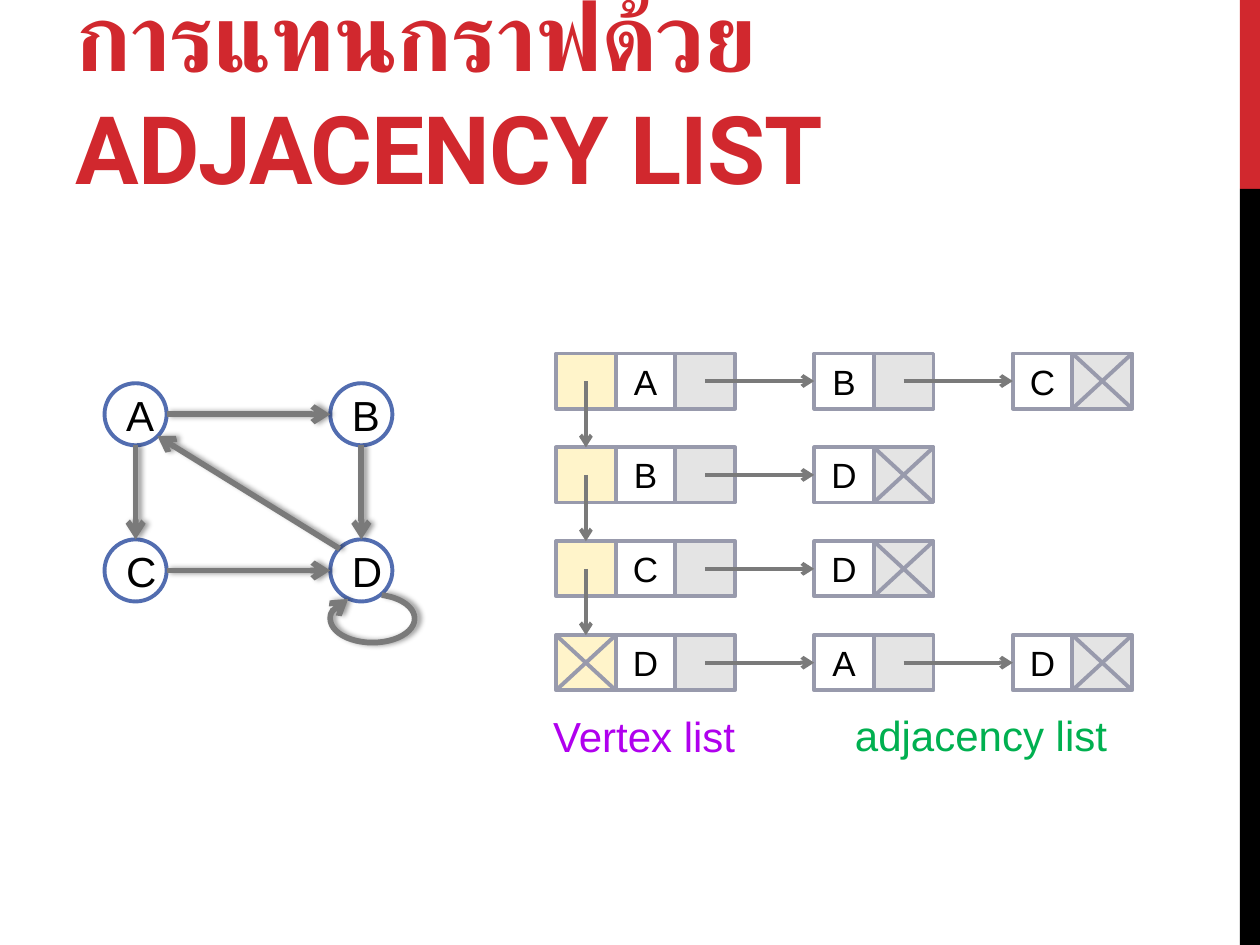
from lxml import etree
from pptx import Presentation
from pptx.dml.color import RGBColor
from pptx.enum import shapes, text
from pptx.oxml import ns
from pptx.util import Pt

INK, ARROW, CELL_LINE = "000000", "7A7A7A", "989AAC"


def paint(target, color):
    """Colour a fill, or the font of a run."""
    fill = getattr(target, "fill", target)
    fill.solid()
    fill.fore_color.rgb = RGBColor.from_string(color)


def stroke(shape, color, width, arrow=None, shadow=False):
    """Format an outline; arrow is 'headEnd', 'tailEnd' or None."""
    paint(shape.line, color)
    shape.line.width = Pt(width)
    if arrow:
        etree.SubElement(shape.line._ln, ns.qn("a:" + arrow), type="arrow")
    properties = shape._element.spPr
    for old in properties.findall(ns.qn("a:effectLst")):
        properties.remove(old)
    effects = etree.SubElement(properties, ns.qn("a:effectLst"))
    if shadow:
        cast = etree.SubElement(effects, ns.qn("a:outerShdw"), blurRad=str(Pt(3.1)),
                                dist=str(Pt(1.8)), dir="0", rotWithShape="0")
        shade = etree.SubElement(cast, ns.qn("a:srgbClr"), val=INK)
        etree.SubElement(shade, ns.qn("a:alpha"), val="40000")


deck = Presentation()
deck.slide_width, deck.slide_height = Pt(720), Pt(540)
slide = deck.slides.add_slide(deck.slide_layouts[5])
add_shape = slide.shapes.add_shape
add_connector = slide.shapes.add_connector
STRAIGHT = shapes.MSO_CONNECTOR.STRAIGHT

# Side bar
for top, height, color in ((0, 108, "D1282E"), (108, 432, INK)):
    bar = add_shape(shapes.MSO_SHAPE.RECTANGLE, Pt(708.5), Pt(top), Pt(11.5), Pt(height))
    bar.shadow.inherit = False
    paint(bar, color)
    bar.line.fill.background()

# Title
title = slide.shapes.title
title.left, title.top, title.width, title.height = Pt(36), Pt(12), Pt(630), Pt(108)
frame = title.text_frame
frame.auto_size = text.MSO_AUTO_SIZE.NONE
frame.word_wrap = True
frame.vertical_anchor = text.MSO_ANCHOR.BOTTOM
frame.paragraphs[0].alignment = text.PP_ALIGN.LEFT
run = frame.paragraphs[0].add_run()
run.text = "การแทนกราฟด้วย ADJACENCY LIST"
run.font.name, run.font.size, run.font.bold = "Roboto", Pt(54), True
paint(run.font, "D1282E")
run._r.get_or_add_rPr().set("spc", "-60")

# Graph vertices
DIAMETER = 35.5
left_x, right_x, upper_y, lower_y = 59.75, 188.75, 219, 308.25
vertices = {"A": (left_x, upper_y), "B": (right_x, upper_y),
            "C": (left_x, lower_y), "D": (right_x, lower_y)}
lettered = []
for name, (x, y) in vertices.items():
    vertex = add_shape(shapes.MSO_SHAPE.OVAL, Pt(x), Pt(y), Pt(DIAMETER), Pt(DIAMETER))
    paint(vertex, "FFFFFF")
    stroke(vertex, "526DB0", 2.25)
    lettered.append((vertex, name, 24))

# Graph edges: each runs from rim to rim, as fractions of the circle's box
EAST, WEST, SOUTH, NORTH = (1, 0.5), (0, 0.5), (0.5, 1), (0.5, 0)
NORTHWEST, SOUTHEAST = (0.15, 0.15), (0.85, 0.85)
edges = (("A", EAST, "B", WEST), ("A", SOUTH, "C", NORTH), ("C", EAST, "D", WEST),
         ("B", SOUTH, "D", NORTH), ("D", NORTHWEST, "A", SOUTHEAST))
for source, leave, target, arrive in edges:
    ends = [Pt(corner + DIAMETER * part)
            for name, rim in ((source, leave), (target, arrive))
            for corner, part in zip(vertices[name], rim)]
    stroke(add_connector(STRAIGHT, *ends), ARROW, 3.25, "tailEnd", shadow=True)

# Loop on D
loop = add_shape(shapes.MSO_SHAPE.ARC, Pt(188.75), Pt(339.75), Pt(48.25), Pt(27.5))
loop.adjustments[0], loop.adjustments[1] = 174.86, 131.41
loop.fill.background()
stroke(loop, ARROW, 3.25, "tailEnd", shadow=True)

# List cells: a node is a letter cell and a link cell; list heads also link down
CELL_W, CELL_H = 34.1, 31.5
LIST_X, LIST_Y, ROW_STEP = 317.75, 202, 53.65
NODE_X = (LIST_X + CELL_W, 465.25, 578.75)
rows = ("ABC", "BD", "CD", "DAD")
downs, chains, crossed = [], [], []
for index, row in enumerate(rows):
    y = LIST_Y + index * ROW_STEP
    cells = [(LIST_X, "FFF4CA", "")]
    for x, name in zip(NODE_X, row):
        cells += [(x, "FFFFFF", name), (x + CELL_W, "E4E4E4", "")]
    drawn = []
    for x, color, name in cells:
        cell = add_shape(shapes.MSO_SHAPE.RECTANGLE, Pt(x), Pt(y), Pt(CELL_W), Pt(CELL_H))
        paint(cell, color)
        stroke(cell, CELL_LINE, 2.25)
        drawn.append(cell)
        if name:
            lettered.append((cell, name, 20))
    downs.append(drawn[0])
    chains += zip(drawn[2:-1:2], drawn[3::2])
    crossed.append(drawn[-1])
crossed.append(downs[-1])

# Letters in vertices and cells
for shape, name, size in lettered:
    frame = shape.text_frame
    frame.word_wrap = True
    frame.vertical_anchor = text.MSO_ANCHOR.MIDDLE
    frame.paragraphs[0].alignment = text.PP_ALIGN.CENTER
    run = frame.paragraphs[0].add_run()
    run.text = name
    run.font.name, run.font.size = "Arial", Pt(size)
    paint(run.font, INK)

# Crosses on empty links
for cell in crossed:
    right, bottom = cell.left + cell.width, cell.top + cell.height
    for start_y, end_y in ((cell.top, bottom), (bottom, cell.top)):
        stroke(add_connector(STRAIGHT, cell.left, start_y, right, end_y), CELL_LINE, 2.25)

# Links: down the vertex list to a top side, along a row to a left side
links = [(a, b, 0) for a, b in zip(downs, downs[1:])] + [(a, b, 1) for a, b in chains]
for source, target, side in links:
    x, y = source.left + source.width // 2, source.top + source.height // 2
    link = add_connector(STRAIGHT, x, y, x, y)
    link.end_connect(target, side)
    stroke(link, ARROW, 2.25, "tailEnd")

# Captions
for words, x, y, width, color in (("Vertex list", 309, 402.5, 119.5, "B000EE"),
                                  ("adjacency list", 481.5, 402, 160, "00B050")):
    caption = slide.shapes.add_textbox(Pt(x), Pt(y), Pt(width), Pt(36))
    caption.text_frame.word_wrap = False
    caption.text_frame.auto_size = text.MSO_AUTO_SIZE.SHAPE_TO_FIT_TEXT
    run = caption.text_frame.paragraphs[0].add_run()
    run.text = words
    run.font.name, run.font.size = "Arial", Pt(24)
    paint(run.font, color)

deck.save("out.pptx")
